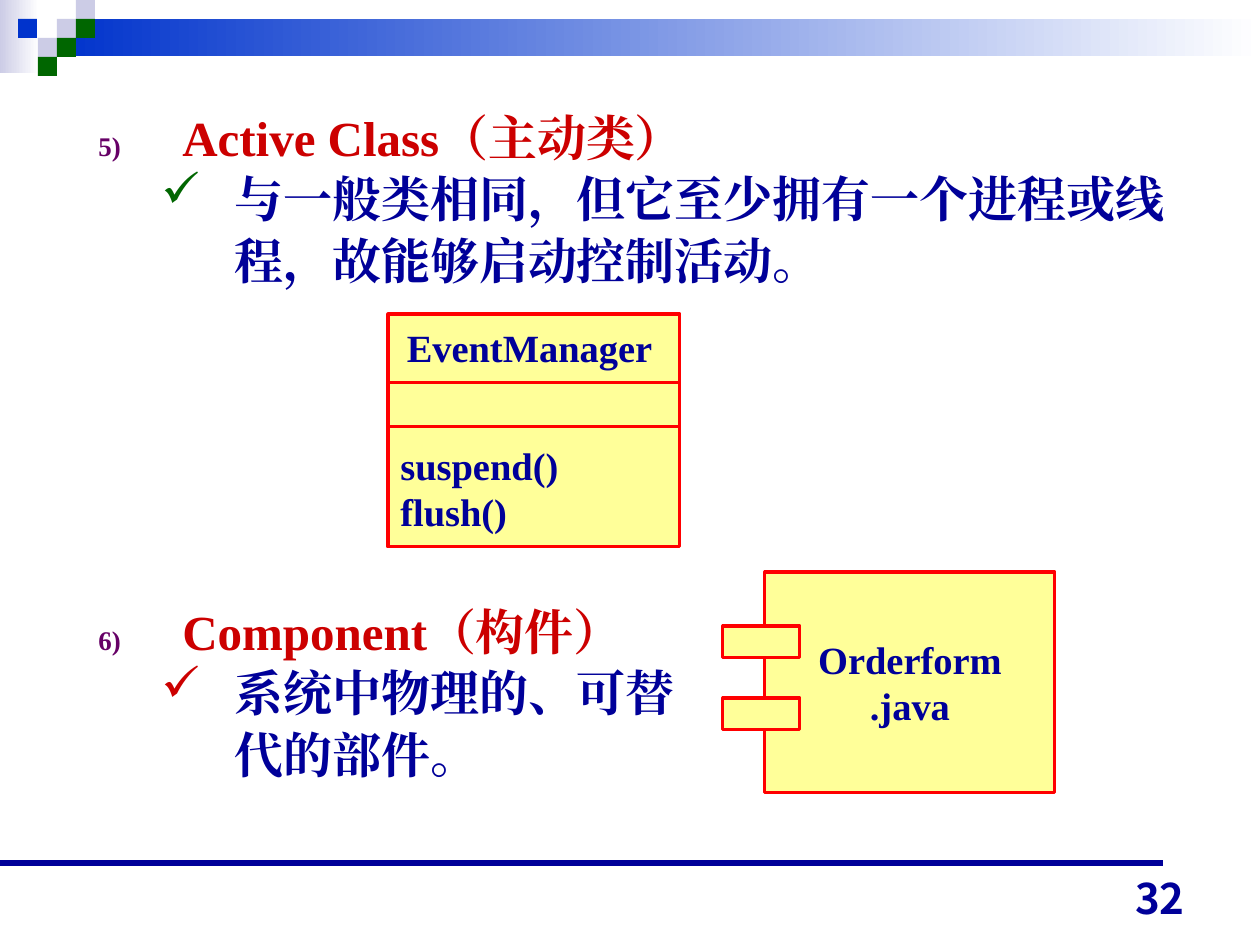
from lxml import etree
from pptx import Presentation
from pptx import util as u
from pptx.dml.color import RGBColor
from pptx.enum import shapes, text
from pptx.oxml import ns

PX = 914400 / 126
COLORS = {
    "white": "FFFFFF", "lavender": "CCCCE6", "blue": "0033CC", "green": "006600",
    "navy": "000099", "crimson": "CC0000", "purple": "660066",
    "yellow": "FFFF99", "red": "FF0000",
}
FONT = "Times New Roman"

presentation = Presentation()
presentation.slide_width, presentation.slide_height = u.Emu(1260 * PX), u.Emu(945 * PX)
slide = presentation.slides.add_slide(presentation.slide_layouts[6])


def add_box(x, y, width, height, fill, outline=None, lines=(), align=text.PP_ALIGN.CENTER):
    """Add a rectangle; a tuple as fill is a gradient from left to right."""
    box = slide.shapes.add_shape(
        shapes.MSO_SHAPE.RECTANGLE, *[u.Emu(v * PX) for v in (x, y, width, height)])
    box.shadow.inherit = False
    if isinstance(fill, tuple):
        box.fill.gradient()
        box.fill.gradient_angle = 0
        for stop, name in zip(box.fill.gradient_stops, fill):
            stop.color.rgb = RGBColor.from_string(COLORS[name])
    else:
        box.fill.solid()
        box.fill.fore_color.rgb = RGBColor.from_string(COLORS[fill])
    if outline:
        box.line.color.rgb = RGBColor.from_string(COLORS[outline])
        box.line.width = u.Pt(1.75)
    else:
        box.line.fill.background()
    if lines:
        frame = box.text_frame
        frame.text = "\n".join(lines)
        frame.word_wrap = False
        frame.vertical_anchor = text.MSO_ANCHOR.MIDDLE
        for paragraph in frame.paragraphs:
            paragraph.alignment = align
            paragraph.line_spacing = u.Pt(26)
            font = paragraph.runs[0].font
            font.name, font.size, font.bold = FONT, u.Pt(22), True
            font.color.rgb = RGBColor.from_string(COLORS["navy"])
    return box


def add_line(x1, x2, y, color, width):
    line = slide.shapes.add_connector(
        shapes.MSO_CONNECTOR.STRAIGHT, *[u.Emu(v * PX) for v in (x1, y, x2, y)])
    line.line.color.rgb = RGBColor.from_string(COLORS[color])
    line.line.width = u.Pt(width)
    etree.SubElement(line._element.spPr, ns.qn("a:effectLst"))


# Header band with its checkered corner
add_box(0, 0, 39, 73, ("lavender", "white"))
add_box(57, 19, 1203, 37, ("blue", "white"))
for x, y, color in [
    (57, 19, "lavender"), (76, 0, "lavender"), (76, 19, "green"), (38, 38, "lavender"),
    (18, 19, "blue"), (57, 38, "green"), (38, 57, "green"),
]:
    add_box(x, y, 19, 19, color)

# Footer rule and page number
add_line(0, 1163, 863, "navy", 3.5)
number_box = slide.shapes.add_textbox(*[u.Emu(v * PX) for v in (903, 866, 294, 63)])
number_box.text_frame.text = "32"
number_box.text_frame.word_wrap = True
number_box.text_frame.vertical_anchor = text.MSO_ANCHOR.BOTTOM
number = number_box.text_frame.paragraphs[0]
number.alignment = text.PP_ALIGN.RIGHT
number_font = number.runs[0].font
number_font.name, number_font.size, number_font.bold = "Noto Sans CJK JP", u.Pt(24), True
number_font.color.rgb = RGBColor.from_string(COLORS["navy"])

# Numbered terms, each with a checked explanation
terms = [
    (5, 99, 1100, "green", "Active Class（主动类）",
     "与一般类相同，但它至少拥有一个进程或线程，故能够启动控制活动。"),
    (6, 593, 622, "crimson", "Component（构件）", "系统中物理的、可替代的部件。"),
]
for start, top, width, check_color, term, explanation in terms:
    box = slide.shapes.add_textbox(*[u.Emu(v * PX) for v in (86, top, width, 197)])
    frame = box.text_frame
    frame.word_wrap = True
    frame.text = f"{term}\n{explanation}"
    styles = [
        (84, 84, "crimson", "purple", 55, "buAutoNum",
         {"type": "arabicParenR", "startAt": str(start)}),
        (136, 73, "navy", check_color, 100, "buChar", {"char": "✓"}),
    ]
    for level, (paragraph, style) in enumerate(zip(frame.paragraphs, styles)):
        margin, hanging, color, bullet_color, bullet_size, bullet, attributes = style
        paragraph.level = level
        properties = paragraph._p.get_or_add_pPr()
        properties.set("marL", str(round(margin * PX)))
        properties.set("indent", str(round(-hanging * PX)))
        tint = etree.SubElement(properties, ns.qn("a:buClr"))
        etree.SubElement(tint, ns.qn("a:srgbClr"), val=COLORS[bullet_color])
        etree.SubElement(properties, ns.qn("a:buSzPct"), val=str(bullet_size * 1000))
        etree.SubElement(properties, ns.qn(f"a:{bullet}"), attributes)
        paragraph.line_spacing = u.Pt(35)
        run = paragraph.runs[0]
        run.font.name, run.font.size, run.font.bold = FONT, u.Pt(28), True
        run.font.color.rgb = RGBColor.from_string(COLORS[color])
        etree.SubElement(run._r.get_or_add_rPr(), ns.qn("a:ea"), typeface=FONT)

# Component symbol
add_box(765, 572, 290, 221, "yellow", "red", ["Orderform", ".java"])
for y in (626, 698):
    add_box(723, y, 77, 32, "yellow", "red")

# Class symbol: name, attributes, operations
class_box = add_box(388, 314, 292, 233, "yellow", "red",
                    ["suspend()", "flush()"], text.PP_ALIGN.LEFT)
class_box.text_frame.vertical_anchor = text.MSO_ANCHOR.BOTTOM
class_box.text_frame.margin_bottom = u.Emu(13 * PX)
for y in (383, 427):
    add_line(388, 680, y, "red", 1.75)
add_box(394, 318, 271, 59, "yellow", lines=["EventManager"])

presentation.save("out.pptx")
